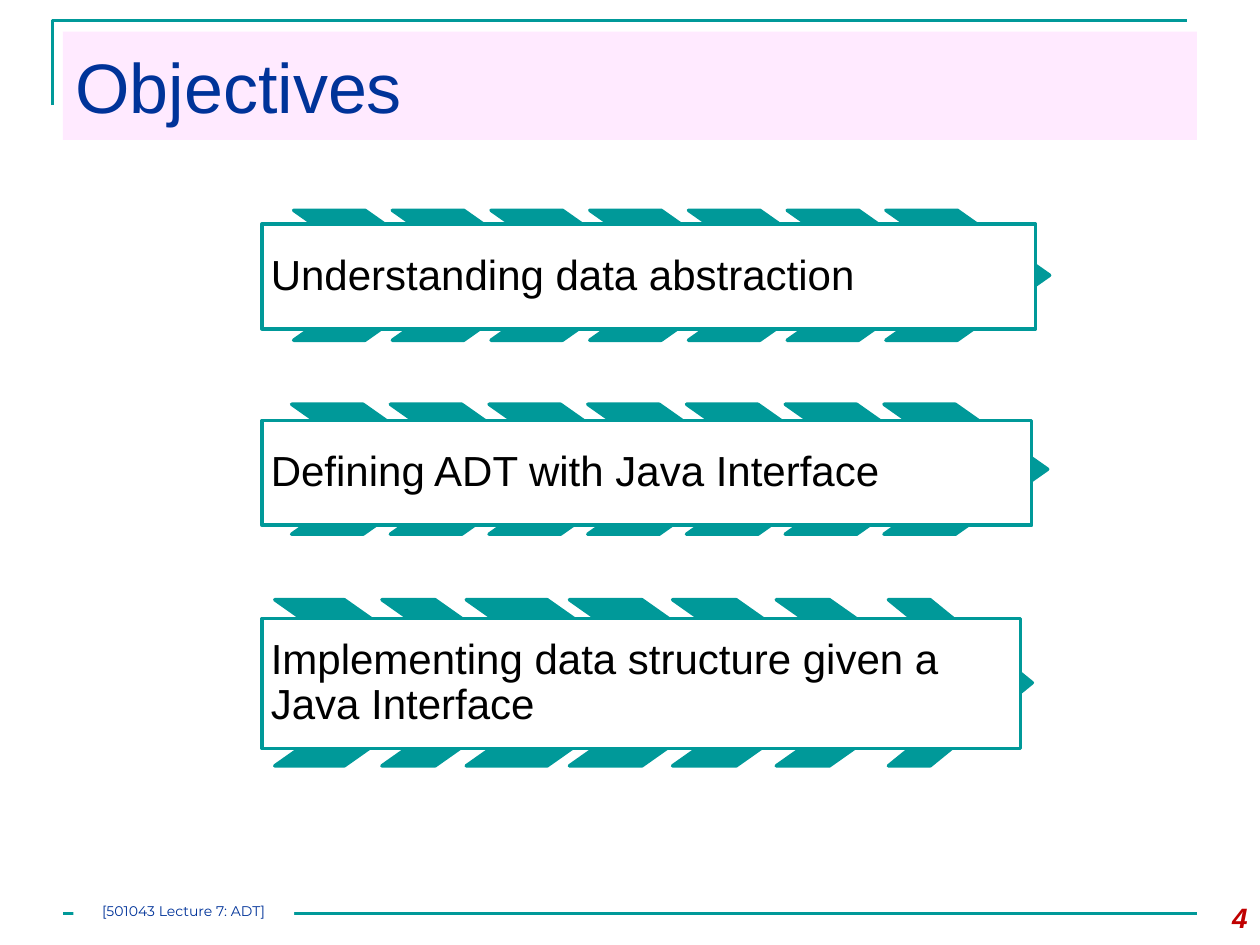
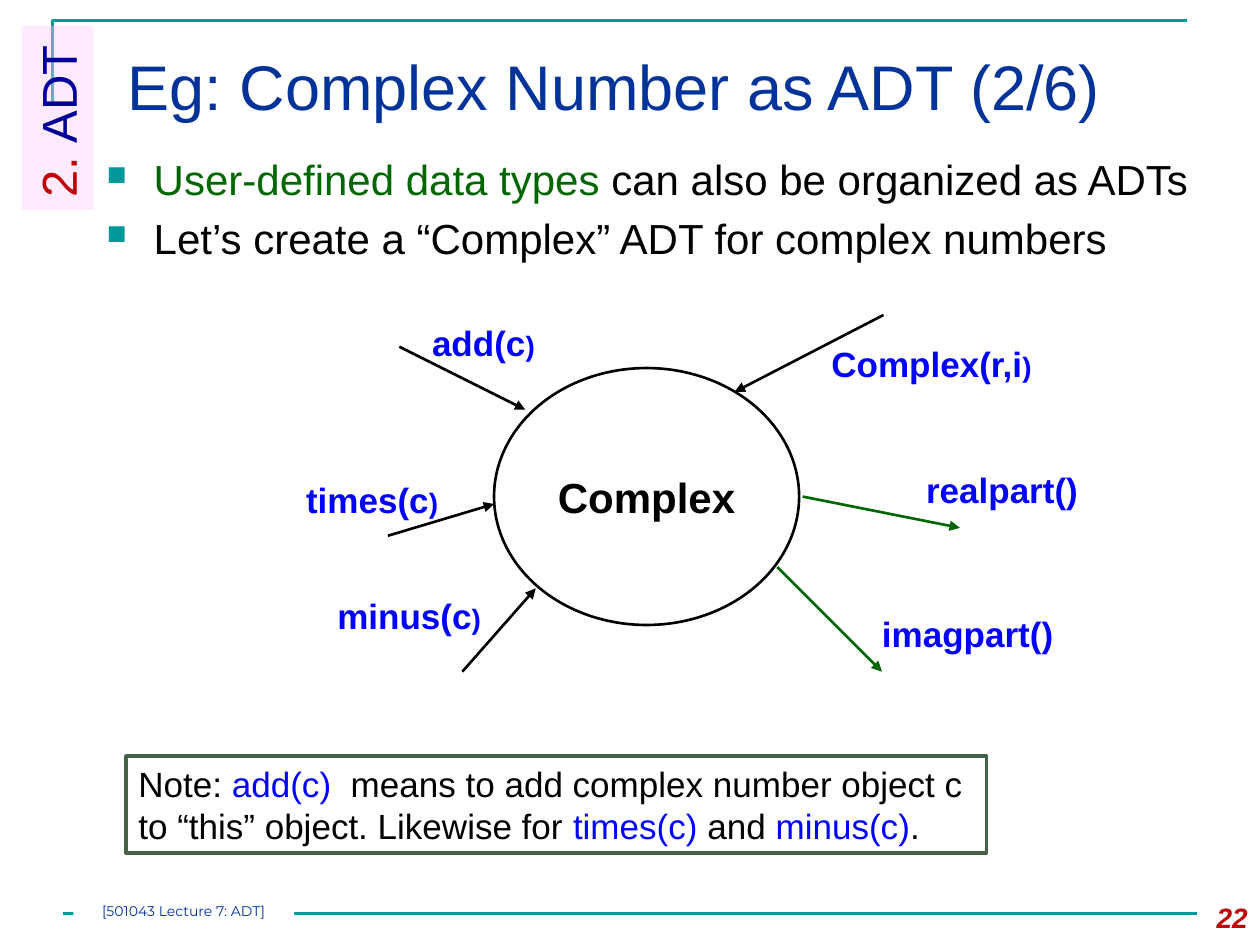
from lxml.etree import SubElement
from pptx import Presentation
from pptx.dml.color import RGBColor
from pptx.enum.shapes import MSO_CONNECTOR, MSO_SHAPE
from pptx.enum.text import MSO_ANCHOR, MSO_AUTO_SIZE, PP_ALIGN
from pptx.oxml.ns import qn
from pptx.util import Cm, Pt

TEAL = RGBColor(0x00, 0x99, 0x99)
PINK = RGBColor(0xFF, 0xCC, 0xFF)
NAVY = RGBColor(0x00, 0x33, 0x99)
INDIGO = RGBColor(0x00, 0x00, 0x99)
BLUE = RGBColor(0x00, 0x00, 0xFF)
RED = RGBColor(0xC0, 0x00, 0x00)
GREEN = RGBColor(0x00, 0x66, 0x00)
MOSS = RGBColor(0x44, 0x62, 0x46)
BLACK = RGBColor(0x00, 0x00, 0x00)
WHITE = RGBColor(0xFF, 0xFF, 0xFF)

BODY_FONT = "Arial"
FOOTER_FONT = "Montserrat"
FOOTER = "[501043 Lecture 7: ADT]"

REGULAR_WIDTHS = [3.3] * 7
OBJECTIVES = [
    ("Understanding data abstraction", (5.28, 4.52, 15.6, 2.11),
     [5.92 + 1.99 * i for i in range(7)], REGULAR_WIDTHS, 4.24, 2.62),
    ("Defining ADT with Java Interface", (5.28, 8.48, 15.52, 2.11),
     [5.88 + 1.99 * i for i in range(7)], REGULAR_WIDTHS, 8.15, 2.62),
    ("Implementing data structure given a Java Interface",
     (5.28, 12.47, 15.29, 2.62),
     [5.54, 7.7, 9.4, 11.48, 13.56, 15.65, 17.91],
     [3.78, 3.45, 4.01, 3.84, 3.66, 3.45, 2.9], 12.09, 3.35),
]

OPERATIONS = [
    ("add(c", ")", (8.46, 6.35, 2.62, 1.12)),
    ("times(c", ")", (5.92, 9.53, 3.18, 1.12)),
    ("minus(c", ")", (6.55, 11.86, 3.4, 1.12)),
    ("Complex(r,i", ")", (16.51, 6.78, 4.57, 1.12)),
    ("realpart()", "", (18.42, 9.32, 3.61, 1.12)),
    ("imagpart()", "", (17.53, 12.22, 3.99, 1.12)),
]

ARROWS = [
    ((8.05, 6.99), (10.59, 8.26), BLACK),
    ((7.82, 10.8), (9.96, 10.16), BLACK),
    ((9.32, 13.54), (10.8, 11.86), BLACK),
    ((17.81, 6.35), (14.81, 7.9), BLACK),
    ((16.18, 10.01), (19.35, 10.64), GREEN),
    ((15.67, 11.43), (17.78, 13.54), GREEN),
]


def set_outline(shape, color, width):
    shape.line.color.rgb = color
    shape.line.width = Pt(width)
    outline = shape._element.spPr.find(qn("a:ln"))
    SubElement(outline, qn("a:round"))
    return outline


def add_box(slide, kind, place, fill=None, line=None, width=2, alpha=None):
    shape = slide.shapes.add_shape(kind, *map(Cm, place))
    shape.shadow.inherit = False
    if fill is None:
        shape.fill.background()
    else:
        shape.fill.solid()
        shape.fill.fore_color.rgb = fill
    if alpha is not None:
        color = shape._element.spPr.find(".//" + qn("a:srgbClr"))
        SubElement(color, qn("a:alpha"), val=str(alpha * 1000))
    if line is None:
        shape.line.fill.background()
    else:
        set_outline(shape, line, width)
    return shape


def add_text_box(slide, place):
    return slide.shapes.add_textbox(*map(Cm, place))


def write_runs(paragraph, runs, size, align=PP_ALIGN.LEFT, font=BODY_FONT,
               bold=False, italic=False):
    paragraph.alignment = align
    paragraph.font.name = font
    paragraph.font.size = Pt(size)
    paragraph.font.bold = bold
    paragraph.font.italic = italic
    for text, color in runs:
        run = paragraph.add_run()
        run.text = text
        run.font.color.rgb = color


def write(shape, runs, size, anchor=MSO_ANCHOR.TOP, inset=None, **style):
    frame = shape.text_frame
    frame.word_wrap = True
    frame.vertical_anchor = anchor
    if inset is not None:
        frame.margin_left = frame.margin_right = Cm(inset)
        frame.margin_top = frame.margin_bottom = Cm(inset)
    write_runs(frame.paragraphs[0], runs, size, **style)
    return frame


def add_line(slide, start, end, color, arrow=False):
    line = slide.shapes.add_connector(
        MSO_CONNECTOR.STRAIGHT, *map(Cm, start + end))
    outline = set_outline(line, color, 1.5)
    if arrow:
        SubElement(outline, qn("a:tailEnd"), type="triangle")
    SubElement(line._element.spPr, qn("a:effectLst"))


def add_frame(slide):
    builder = slide.shapes.build_freeform(Cm(1.06), Cm(2.12))
    builder.add_line_segments(
        [(Cm(1.06), Cm(0.42)), (Cm(23.92), Cm(0.42))], close=False)
    corner = builder.convert_to_shape()
    corner.shadow.inherit = False
    corner.fill.background()
    set_outline(corner, TEAL, 1.5)
    add_line(slide, (1.27, 18.42), (24.13, 18.42), TEAL)


def add_footer(slide, number):
    write(add_text_box(slide, (23.7, 18.03, 1.7, 1.02)), [(number, RED)], 16,
          align=PP_ALIGN.RIGHT, bold=True, italic=True)
    label = add_box(slide, MSO_SHAPE.RECTANGLE, (1.48, 18.2, 4.45, 0.43), WHITE)
    write(label, [(FOOTER, NAVY)], 8, inset=0, align=PP_ALIGN.CENTER,
          font=FOOTER_FONT)


def start_slide(presentation, number):
    slide = presentation.slides.add_slide(presentation.slide_layouts[6])
    add_frame(slide)
    add_footer(slide, number)
    return slide


def add_title(shape, text, size):
    write(shape, [(text, NAVY)], size, anchor=MSO_ANCHOR.MIDDLE)


def add_objective(slide, text, place, lefts, widths, top, height):
    for left, width in zip(lefts, widths):
        chevron = add_box(slide, MSO_SHAPE.CHEVRON, (left, top, width, height),
                          TEAL, TEAL)
        chevron.adjustments[0] = 0.71
    banner = add_box(slide, MSO_SHAPE.RECTANGLE, place, WHITE, TEAL)
    frame = write(banner, [(text, BLACK)], 24, MSO_ANCHOR.MIDDLE, 0.18)
    frame.paragraphs[0].line_spacing = 0.9


def add_bullets(slide, place, items):
    frame = add_text_box(slide, place).text_frame
    frame.word_wrap = True
    for index, runs in enumerate(items):
        paragraph = frame.add_paragraph() if index else frame.paragraphs[0]
        if index:
            paragraph.space_before = Pt(5)
        properties = paragraph._p.get_or_add_pPr()
        properties.set("marL", str(Cm(0.95)))
        properties.set("indent", str(-Cm(0.95)))
        color = SubElement(properties, qn("a:buClr"))
        SubElement(color, qn("a:srgbClr"), val=str(TEAL))
        SubElement(properties, qn("a:buSzPct"), val="65000")
        SubElement(properties, qn("a:buChar"), char="■")
        write_runs(paragraph, runs, 24)


def add_operation(slide, name, closing, place):
    frame = write(add_text_box(slide, place), [(name, BLUE)], 20, bold=True)
    frame.word_wrap = False
    frame.auto_size = MSO_AUTO_SIZE.SHAPE_TO_FIT_TEXT
    if closing:
        run = frame.paragraphs[0].add_run()
        run.text = closing
        run.font.size = Pt(16)
        run.font.color.rgb = BLUE


def build_objectives(presentation):
    slide = start_slide(presentation, "4")
    band = add_box(slide, MSO_SHAPE.RECTANGLE, (1.27, 0.64, 22.86, 2.18),
                   PINK, alpha=40)
    add_title(band, "Objectives", 40)
    for objective in OBJECTIVES:
        add_objective(slide, *objective)


def build_complex_number(presentation):
    slide = start_slide(presentation, "22")
    add_title(add_text_box(slide, (2.33, 0.64, 22.43, 2.18)),
              "Eg: Complex Number as ADT (2/6)", 36)
    section = add_box(slide, MSO_SHAPE.RECTANGLE, (-0.69, 1.65, 3.71, 1.45),
                      PINK, alpha=40)
    section.rotation = 270
    write(section, [("2. ", RED), ("ADT", INDIGO)], 28)
    add_bullets(slide, (1.9, 2.97, 22.66, 2.97), [
        [("User-defined data types ", GREEN),
         ("can also be organized as ADTs", BLACK)],
        [("Let’s create a “Complex” ADT for complex numbers", BLACK)],
    ])
    note = add_box(slide, MSO_SHAPE.RECTANGLE, (2.54, 15.24, 17.35, 1.96),
                   WHITE, MOSS)
    write(note, [
        ("Note: ", BLACK), ("add(c) ", BLUE),
        (" means to add complex number object c to “this” object. "
         "Likewise for ", BLACK),
        ("times(c)", BLUE), (" and ", BLACK), ("minus(c)", BLUE), (".", BLACK),
    ], 20)
    circle = add_box(slide, MSO_SHAPE.OVAL, (9.96, 7.42, 6.15, 5.18),
                     line=BLACK, width=1.5)
    write(circle, [("Complex", BLACK)], 24, MSO_ANCHOR.MIDDLE,
          align=PP_ALIGN.CENTER, bold=True)
    for operation in OPERATIONS:
        add_operation(slide, *operation)
    for start, end, color in ARROWS:
        add_line(slide, start, end, color, arrow=True)


def main():
    presentation = Presentation()
    presentation.slide_width = Cm(25.4)
    presentation.slide_height = Cm(19.05)
    build_objectives(presentation)
    build_complex_number(presentation)
    presentation.save("out.pptx")


if __name__ == "__main__":
    main()
